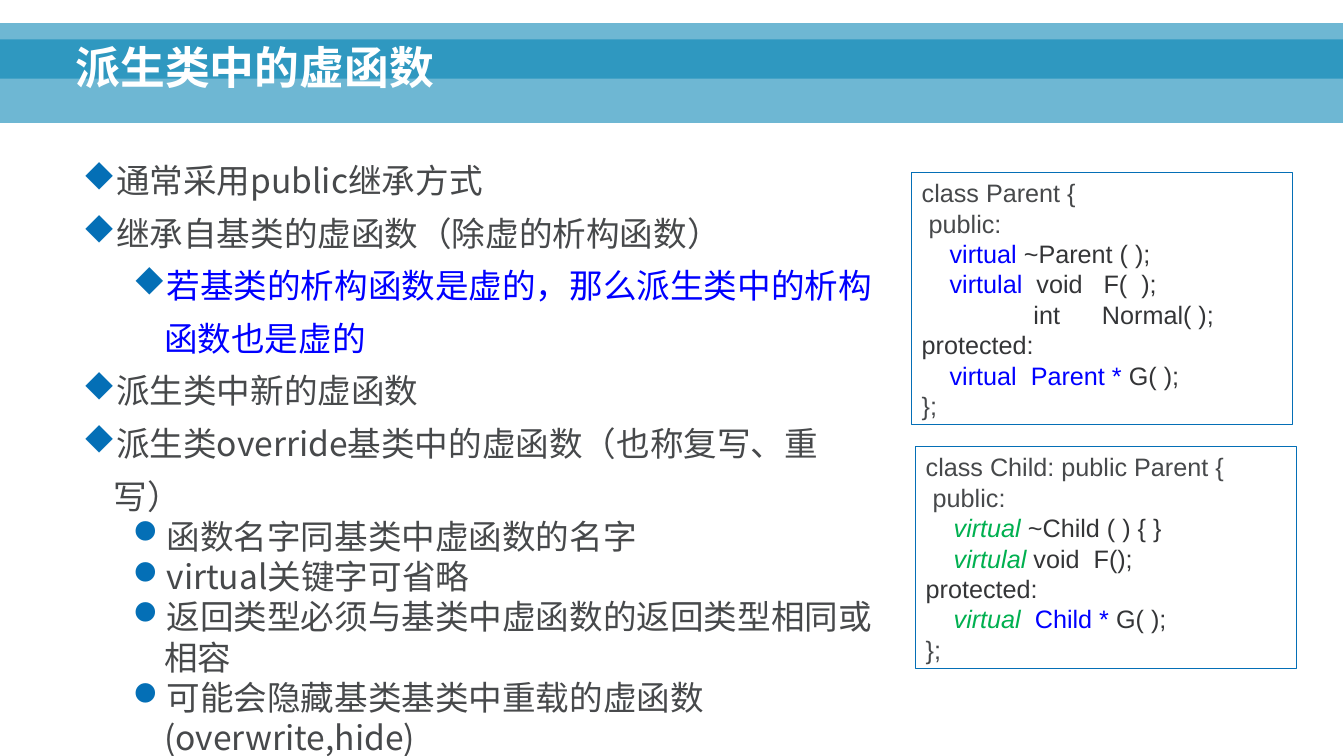
import pptx
import pptx.util
import pptx.dml.color
import pptx.enum.shapes
import pptx.enum.text
import pptx.oxml
import pptx.oxml.ns

RGBColor = pptx.dml.color.RGBColor
WHITE = RGBColor(0xFF, 0xFF, 0xFF)
BAND = RGBColor(0x00, 0x82, 0xB3)
ACCENT = RGBColor(0x04, 0x6F, 0xB6)
GREY = RGBColor(0x47, 0x49, 0x4B)
DARK = RGBColor(0x34, 0x35, 0x37)
BLUE = RGBColor(0x00, 0x00, 0xFF)
GREEN = RGBColor(0x00, 0xB0, 0x50)

LATIN = "Arial"
CJK = "Noto Sans CJK SC"
DIAMOND, DISC = "u", "l"
PX = 9144
SLIDE = (1334, 750)
BANDS = [(0, 39, 1333, 83), (0, 23, 1333, 55)]
BAND_ALPHA = 57

TITLE = "派生类中的虚函数"
TITLE_BOX = (65, 11, 1198, 87)

BODY_BOX = (72, 142, 813, 614)
HANG = 31
LEVEL_STEP = 50
BULLET_SPACING = {DIAMOND: 37.5, DISC: 28.8}
POINTS = [
    (0, DIAMOND, GREY, "通常采用public继承方式"),
    (0, DIAMOND, GREY, "继承自基类的虚函数（除虚的析构函数）"),
    (1, DIAMOND, BLUE, "若基类的析构函数是虚的，那么派生类中的析构函数也是虚的"),
    (0, DIAMOND, GREY, "派生类中新的虚函数"),
    (0, DIAMOND, GREY, "派生类override基类中的虚函数（也称复写、重写）"),
    (1, DISC, GREY, "函数名字同基类中虚函数的名字"),
    (1, DISC, GREY, "virtual关键字可省略"),
    (1, DISC, GREY, "返回类型必须与基类中虚函数的返回类型相同或相容"),
    (1, DISC, GREY, "可能会隐藏基类基类中重载的虚函数(overwrite,hide)"),
]

CODE_SPACING = 21.7
PARENT = [
    [("class Parent {", GREY)],
    [(" public:", GREY)],
    [("    virtual ", BLUE), ("~Parent ( );", DARK)],
    [("    virtulal ", BLUE), (" void   F(  );", DARK)],
    [("                int      Normal( );", DARK)],
    [("protected:", DARK)],
    [("    virtual  Parent *", BLUE), (" G( );", DARK)],
    [("};", GREY)],
]
CHILD = [
    [("class Child: public Parent {", GREY)],
    [(" public:", GREY)],
    [("    virtual", GREEN), (" ~Child ( ) { }", DARK)],
    [("    virtulal", GREEN), (" void  F();", DARK)],
    [("protected:", DARK)],
    [("    virtual  ", GREEN), ("Child *", BLUE), (" G( );", DARK)],
    [("};", GREY)],
]
CODE_BOXES = [((905, 171, 378, 250), PARENT), ((909, 443, 378, 220), CHILD)]


def emu(box):
    return [v * PX for v in box]


def place(sp, box):
    sp.left, sp.top, sp.width, sp.height = emu(box)


def add_rect(s, box, color):
    sp = s.shapes.add_shape(pptx.enum.shapes.MSO_SHAPE.RECTANGLE, *emu(box))
    sp.shadow.inherit = False
    sp.fill.solid()
    sp.fill.fore_color.rgb = color
    return sp


def add_element(parent, tag, **attrs):
    child = pptx.oxml.parse_xml(f"<a:{tag} {pptx.oxml.ns.nsdecls('a')}/>")
    for name, value in attrs.items():
        child.set(name, str(value))
    parent.append(child)
    return child


def style_run(r, size, color, font, bold=False, italic=False):
    r.font.size = pptx.util.Pt(size)
    r.font.color.rgb = color
    r.font.name = font
    r.font.bold = bold
    r.font.italic = italic
    add_element(r.font._element, "ea", typeface=CJK)


def setup_frame(tf, anchor):
    tf.word_wrap = True
    tf.auto_size = pptx.enum.text.MSO_AUTO_SIZE.NONE
    tf.vertical_anchor = anchor


def add_bands(s):
    for i, box in enumerate(BANDS):
        sp = add_rect(s, box, BAND)
        sp.line.fill.background()
        color = sp._element.spPr.find(".//" + pptx.oxml.ns.qn("a:srgbClr"))
        add_element(color, "alpha", val=BAND_ALPHA * 1000)
        s.shapes._spTree.insert(2 + i, sp._element)


def fill_title(sp):
    place(sp, TITLE_BOX)
    tf = sp.text_frame
    tf.text = TITLE
    setup_frame(tf, pptx.enum.text.MSO_ANCHOR.BOTTOM)
    p = tf.paragraphs[0]
    p.alignment = pptx.enum.text.PP_ALIGN.LEFT
    p.line_spacing = 0.9
    style_run(p.runs[0], 32, WHITE, LATIN, bold=True)


def fill_body(sp):
    place(sp, BODY_BOX)
    tf = sp.text_frame
    tf.text = "\n".join(text for *_, text in POINTS)
    setup_frame(tf, pptx.enum.text.MSO_ANCHOR.TOP)
    for p, (level, bullet, color, _) in zip(tf.paragraphs, POINTS):
        p.level = level
        pPr = p._p.get_or_add_pPr()
        pPr.set("marL", str((HANG + level * LEVEL_STEP) * PX))
        pPr.set("indent", str(-HANG * PX))
        add_element(add_element(pPr, "buClr"), "srgbClr", val=ACCENT)
        add_element(pPr, "buFont", typeface="Wingdings", charset=2)
        add_element(pPr, "buChar", char=bullet)
        p.line_spacing = pptx.util.Pt(BULLET_SPACING[bullet])
        p.space_before = pptx.util.Pt(0)
        style_run(p.runs[0], 24, color, CJK)


def add_code(s, box, lines):
    sp = add_rect(s, box, WHITE)
    sp.line.color.rgb = ACCENT
    sp.line.width = pptx.util.Pt(0.75)
    tf = sp.text_frame
    setup_frame(tf, pptx.enum.text.MSO_ANCHOR.TOP)
    for i, line in enumerate(lines):
        p = tf.add_paragraph() if i else tf.paragraphs[0]
        p.alignment = pptx.enum.text.PP_ALIGN.LEFT
        p.line_spacing = pptx.util.Pt(CODE_SPACING)
        for text, color in line:
            r = p.add_run()
            r.text = text
            style_run(r, 18, color, LATIN, italic=color == GREEN)


def main():
    prs = pptx.Presentation()
    prs.slide_width, prs.slide_height = emu(SLIDE)
    s = prs.slides.add_slide(prs.slide_layouts[1])
    add_bands(s)
    fill_title(s.shapes.title)
    fill_body(s.placeholders[1])
    for box, lines in CODE_BOXES:
        add_code(s, box, lines)
    prs.save("out.pptx")


if __name__ == "__main__":
    main()
